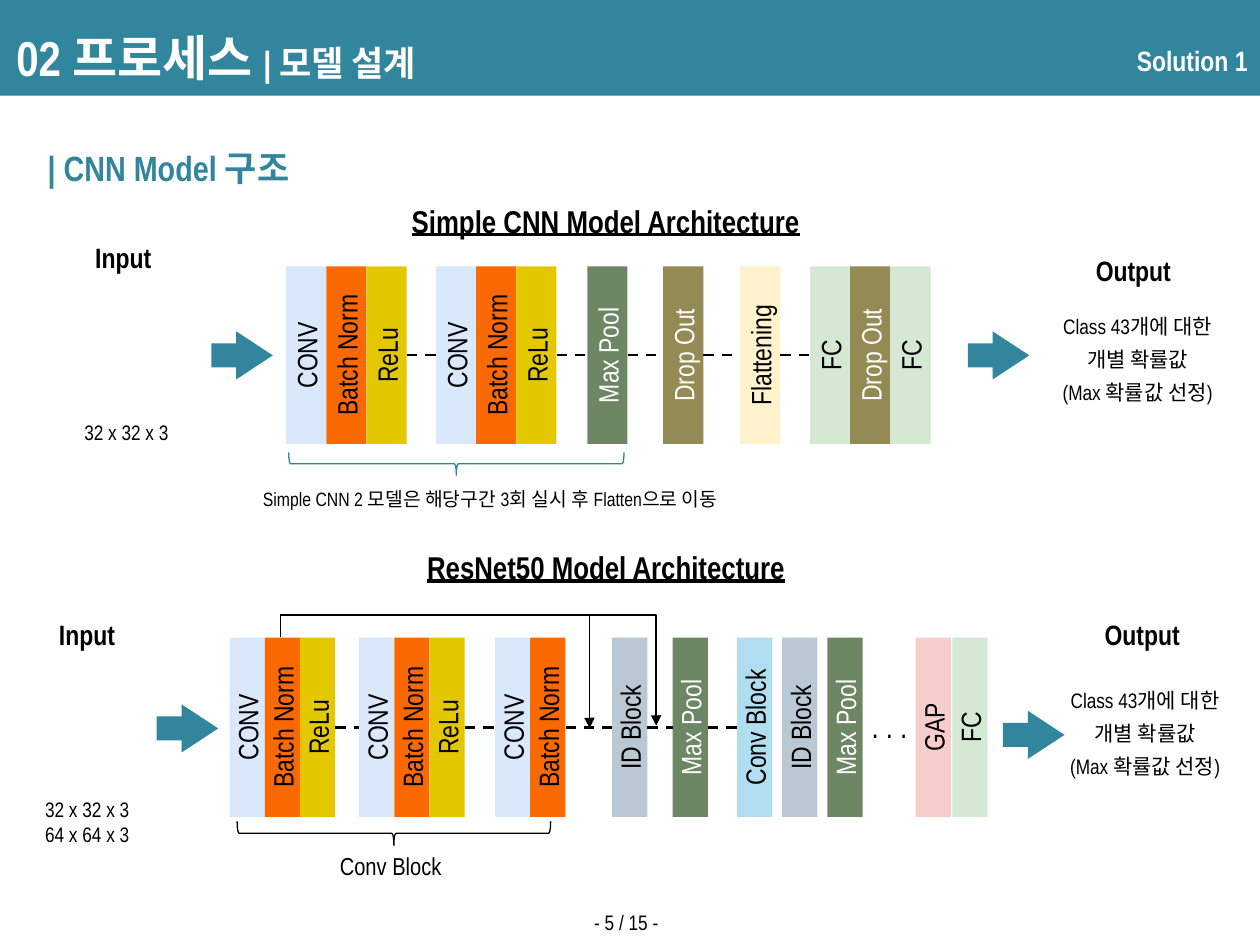
import pptx
import pptx.util
import pptx.dml.color
import pptx.enum.dml
import pptx.enum.shapes
import pptx.enum.text
import pptx.oxml
import pptx.oxml.ns

Cm = pptx.util.Cm
Shape = pptx.enum.shapes.MSO_SHAPE
Connector = pptx.enum.shapes.MSO_CONNECTOR
Align = pptx.enum.text.PP_ALIGN
MIDDLE = pptx.enum.text.MSO_ANCHOR.MIDDLE

COLORS = {
    "teal": "31859C", "white": "FFFFFF", "black": "000000",
    "blue": "DAE8FC", "orange": "FA6800", "yellow": "E3C800",
    "green": "6D8764", "olive": "948A54", "cream": "FFF2CC",
    "mint": "D5E8D4", "sky": "B1DDF0", "gray": "BAC8D3", "pink": "F8CECC",
}
LAYERS = {
    "CONV": ("blue", "black"), "Batch Norm": ("orange", "black"),
    "ReLu": ("yellow", "black"), "Max Pool": ("green", "white"),
    "Drop Out": ("olive", "white"), "Flattening": ("cream", "black"),
    "FC": ("mint", "black"), "ID Block": ("gray", "black"),
    "Conv Block": ("sky", "black"), "GAP": ("pink", "black"),
}
CONV_UNIT = ["CONV", "Batch Norm", "ReLu"]
NETWORKS = [
    {"center": 7.16, "thickness": 0.81, "length": 3.58, "stages": [
        (5.77, CONV_UNIT), (8.79, CONV_UNIT), (11.84, ["Max Pool"]),
        (13.37, ["Drop Out"]), (14.92, ["Flattening"]),
        (16.33, ["FC", "Drop Out", "FC"])]},
    {"center": 14.66, "thickness": 0.71, "length": 3.61, "stages": [
        (4.63, CONV_UNIT), (7.24, CONV_UNIT), (9.98, CONV_UNIT[:2]),
        (12.34, ["ID Block"]), (13.56, ["Max Pool"]), (14.86, ["Conv Block"]),
        (15.77, ["ID Block"]), (16.68, ["Max Pool"]),
        (18.46, ["GAP"]), (19.2, ["FC"])]},
]
LINKED_STAGES = 6
ARROWS = [(4.26, 6.68), (19.51, 6.68), (3.16, 14.2), (20.22, 14.33)]
BRACES = [
    (Shape.LEFT_BRACE, 270, (8.97, 5.97, 0.46, 6.76), "teal"),
    (Shape.RIGHT_BRACE, 90, (7.7, 13.64, 0.48, 6.32), "black"),
]
SHORTCUT_LEVEL = 12.4
SHORTCUTS = [((5.66, 12.85), (11.89, 14.68)), ((11.89, 14.5), (13.23, 14.63))]

FORMATS = {
    "title": {"size": 28, "bold": True},
    "subtitle": {"size": 20, "bold": True},
    "label": {"size": 16, "bold": True},
    "heading": {"size": 18, "bold": True, "underline": True},
    "layer": {"size": 16},
    "dots": {"size": 18},
    "caption": {"size": 14},
    "body": {"size": 12},
    "note": {"size": 11},
}
RESULT = ["Class 43개에 대한", "개별 확률값", "(Max 확률값 선정)"]
TEXTS = [
    ((0.71, 2.82, 5.46, 1.12), ["| CNN Model 구조"], "subtitle", "teal"),
    ((8.05, 3.94, 8.71, 1.02), ["Simple CNN Model Architecture"], "heading", "black"),
    ((8.36, 10.92, 7.8, 1.02), ["ResNet50 Model Architecture"], "heading", "black"),
    ((1.67, 4.72, 1.7, 0.94), ["Input"], "label", "black"),
    ((0.94, 12.32, 1.7, 0.94), ["Input"], "label", "black"),
    ((21.84, 4.98, 2.1, 0.94), ["Output"], "label", "black"),
    ((22.02, 12.32, 2.1, 0.94), ["Output"], "label", "black"),
    ((1.45, 8.33, 2.29, 0.76), ["32 x 32 x 3"], "body", "black"),
    ((0.66, 15.93, 2.26, 1.27), ["32 x 32 x 3", "64 x 64 x 3"], "body", "black"),
    ((5.05, 9.7, 9.88, 0.74),
     ["Simple CNN 2 모델은 해당구간 3회 실시 후 Flatten으로 이동"], "note", "black"),
    ((6.6, 17.04, 2.62, 0.86), ["Conv Block"], "caption", "black"),
    ((17.32, 14.12, 1.24, 1.02), [". . ."], "dots", "black"),
    ((11.73, 18.21, 1.93, 0.76), ["- 5 / 15 -"], "body", "black"),
]
RESULT_BOXES = [(21.11, 6.05, 3.65, 2.21), (21.26, 13.59, 3.65, 2.21)]


def rgb(name):
    return pptx.dml.color.RGBColor.from_string(COLORS[name])


def add_run(paragraph, text, style, color):
    run = paragraph.add_run()
    run.text = text
    run.font.name = "Arial Narrow"
    run.font.color.rgb = rgb(color)
    for attribute, value in FORMATS[style].items():
        setattr(run.font, attribute, pptx.util.Pt(value) if attribute == "size" else value)


def add_text(slide, box, lines, style, color, **layout):
    frame = slide.shapes.add_textbox(*map(Cm, box)).text_frame
    frame.word_wrap = True
    for index, line in enumerate(lines):
        paragraph = frame.add_paragraph() if index else frame.paragraphs[0]
        for attribute, value in layout.items():
            setattr(paragraph, attribute, value)
        add_run(paragraph, line, style, color)
    return frame


def add_shape(slide, kind, box, fill=None, line=None, rotation=0):
    shape = slide.shapes.add_shape(kind, *map(Cm, box))
    shape.shadow.inherit = False
    shape.rotation = rotation
    if fill:
        shape.fill.solid()
        shape.fill.fore_color.rgb = rgb(fill)
    else:
        shape.fill.background()
    if line:
        shape.line.color.rgb = rgb(line)
        shape.line.width = pptx.util.Pt(0.75)
    else:
        shape.line.fill.background()
    return shape


def add_line(slide, kind, points, width):
    line = slide.shapes.add_connector(kind, *map(Cm, points))
    line.line.color.rgb = rgb("black")
    line.line.width = pptx.util.Pt(width)
    properties = line._element.spPr
    properties.append(pptx.oxml.parse_xml(
        f'<a:effectLst {pptx.oxml.ns.nsdecls("a")}/>'))
    return line


def add_layer(slide, name, left, network):
    length, thickness = network["length"], network["thickness"]
    fill, color = LAYERS[name]
    box = (left + (thickness - length) / 2, network["center"] - thickness / 2,
           length, thickness)
    frame = add_shape(slide, Shape.RECTANGLE, box, fill, rotation=270).text_frame
    frame.vertical_anchor = MIDDLE
    frame.paragraphs[0].alignment = Align.CENTER
    add_run(frame.paragraphs[0], name, "layer", color)


def add_network(slide, network):
    stages, thickness, center = network["stages"], network["thickness"], network["center"]
    for left, names in stages:
        for index, name in enumerate(names):
            add_layer(slide, name, left + index * thickness, network)
    linked = stages[:LINKED_STAGES]
    for (left, names), (following, _) in zip(linked, linked[1:]):
        end = left + len(names) * thickness
        dash = add_line(slide, Connector.STRAIGHT, (end, center, following, center), 1.5)
        dash.line.dash_style = pptx.enum.dml.MSO_LINE.DASH


def add_shortcut(slide, start, end):
    (x1, y1), (x2, y2) = start, end
    middle_x, middle_y = (x1 + x2) / 2, (y1 + y2) / 2
    half_drop, half_span = (y2 - y1) / 2, (x2 - x1) / 2
    line = add_line(slide, Connector.ELBOW, (
        middle_x + half_drop, middle_y - half_span,
        middle_x - half_drop, middle_y + half_span), 0.75)
    properties = line._element.spPr
    properties.find(pptx.oxml.ns.qn("a:xfrm")).set("rot", "16200000")
    geometry = properties.find(pptx.oxml.ns.qn("a:prstGeom"))
    rise = round((SHORTCUT_LEVEL - y1) / (y2 - y1) * 100000)
    namespace = pptx.oxml.ns.nsdecls("a")
    properties.replace(geometry, pptx.oxml.parse_xml(
        f'<a:prstGeom {namespace} prst="bentConnector4"><a:avLst>'
        f'<a:gd name="adj1" fmla="val {rise}"/><a:gd name="adj2" fmla="val 99900"/>'
        '</a:avLst></a:prstGeom>'))
    line.line._get_or_add_ln().append(pptx.oxml.parse_xml(
        f'<a:tailEnd {namespace} type="triangle"/>'))


def main():
    presentation = pptx.Presentation()
    presentation.slide_width, presentation.slide_height = Cm(25.4), Cm(19.05)
    slide = presentation.slides.add_slide(presentation.slide_layouts[6])

    add_shape(slide, Shape.RECTANGLE, (0, 0, 25.4, 1.93), "teal")
    title = add_text(slide, (0.08, 0.48, 14.83, 1.32), ["02 프로세스 "], "title", "white")
    add_run(title.paragraphs[0], "| 모델 설계", "subtitle", "white")
    solution = add_text(slide, (20.8, 0.56, 4.6, 1.32), ["Solution 1"], "label", "white",
                        alignment=Align.RIGHT)
    title.vertical_anchor = solution.vertical_anchor = MIDDLE

    for network in NETWORKS:
        add_network(slide, network)
    for start, end in SHORTCUTS:
        add_shortcut(slide, start, end)
    for left, top in ARROWS:
        arrow = add_shape(slide, Shape.RIGHT_ARROW, (left, top, 1.24, 0.97), "teal")
        arrow.adjustments[1] = 0.76
    for kind, rotation, box, color in BRACES:
        add_shape(slide, kind, box, line=color, rotation=rotation)
    for text in TEXTS:
        add_text(slide, *text)
    for box in RESULT_BOXES:
        add_text(slide, box, RESULT, "body", "black", alignment=Align.CENTER, line_spacing=1.3)

    presentation.save("out.pptx")


if __name__ == "__main__":
    main()
